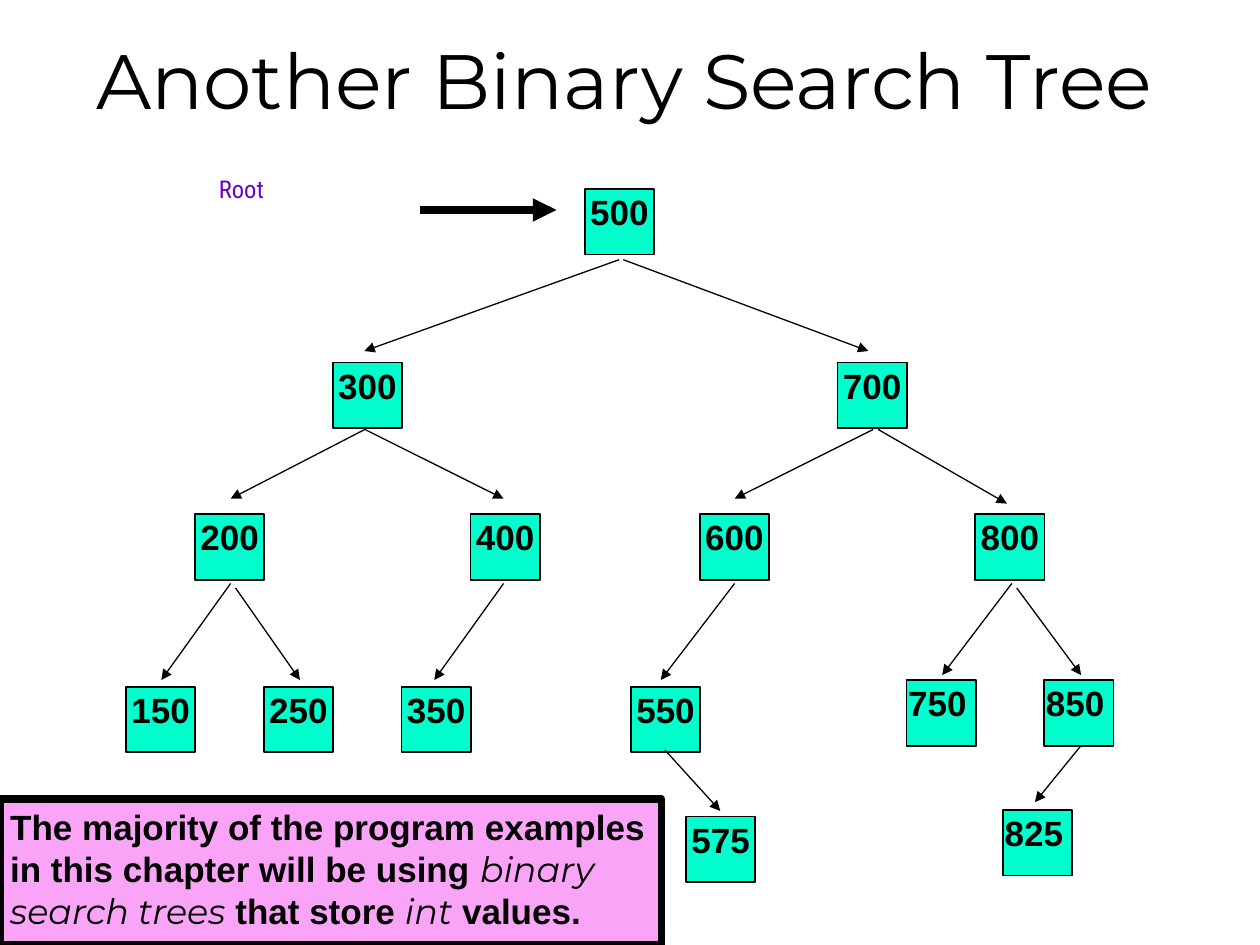
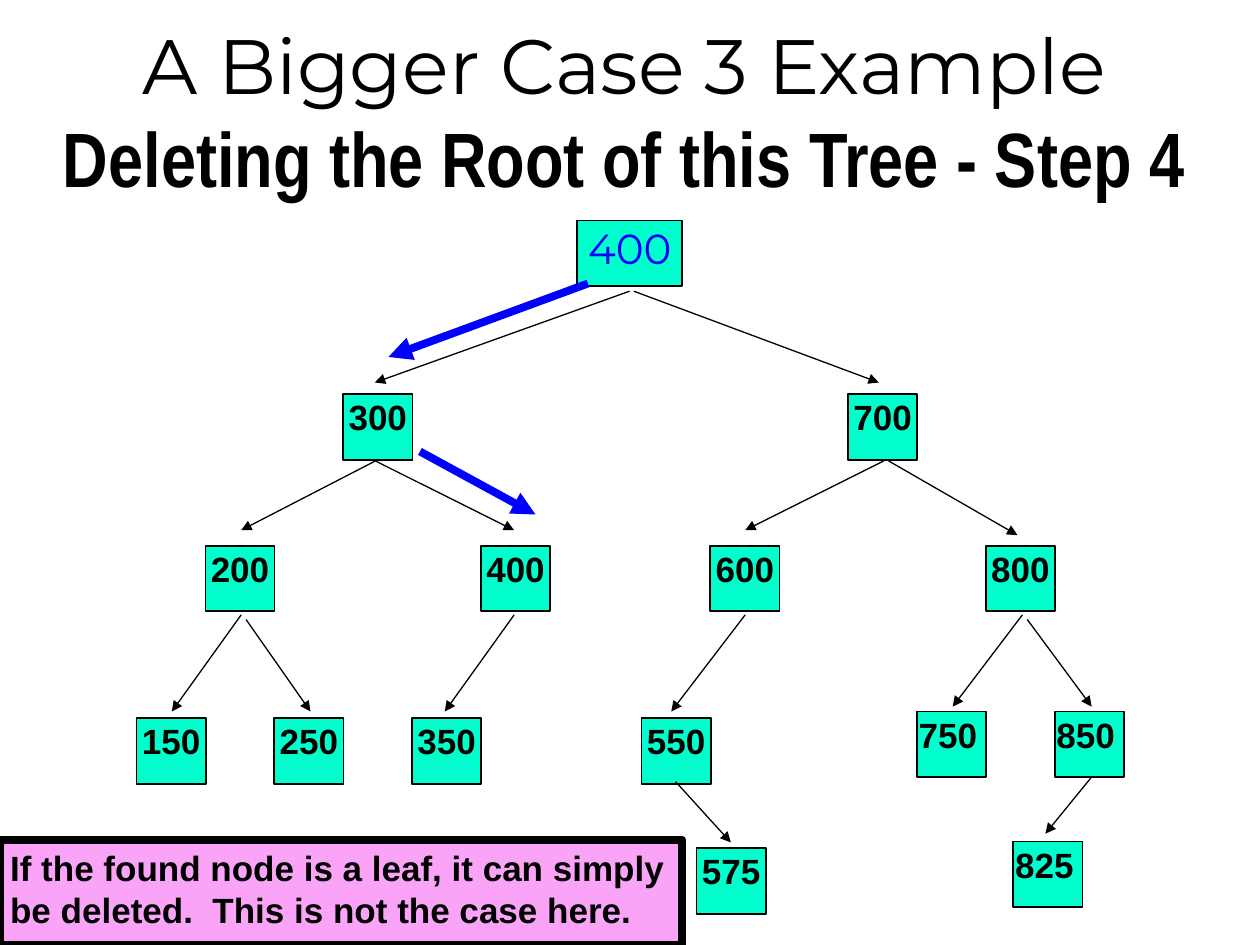
from lxml import etree
from pptx import Presentation
from pptx.dml.color import RGBColor
from pptx.enum.shapes import MSO_CONNECTOR, MSO_SHAPE
from pptx.enum.text import MSO_ANCHOR, PP_ALIGN
from pptx.oxml.ns import qn
from pptx.util import Pt

STRAIGHT = MSO_CONNECTOR.STRAIGHT
RECTANGLE = MSO_SHAPE.RECTANGLE
TOP, MIDDLE = MSO_ANCHOR.TOP, MSO_ANCHOR.MIDDLE
LEFT, CENTER = PP_ALIGN.LEFT, PP_ALIGN.CENTER

BLACK, BLUE, PURPLE = "000000", "0000FF", "6600CC"
NODE_FILL, NOTE_FILL = "00FFCC", "FAA4F8"

# Text styles: font, size, colour, bold, italic
TITLE = ("Montserrat", 44, BLACK, False, False)
SUBTITLE = ("Arial Narrow", 44, BLACK, True, False)
BODY = ("Arial", 20, BLACK, True, False)
TERM = ("Montserrat", 20, BLACK, False, True)
NEW_ROOT = ("Montserrat", 24, BLUE, False, False)
LABEL = ("Roboto Condensed", 14, PURPLE, False, False)

NODE_WIDTH, NODE_HEIGHT = 39.6, 37.5
FIRST_COLUMN, COLUMN_STEP = 72, 39.36
THICK, THIN = 4.5, 0.75

# Nodes below the root: value, column, top, alignment
ROOT_COLUMN, ROOT_TOP = 6.66, 108
NODES = [
    ("300", 3, 207.2, CENTER), ("700", 10.33, 207.2, CENTER),
    ("200", 1, 293.8, CENTER), ("400", 5, 293.8, CENTER),
    ("600", 8.33, 293.8, CENTER), ("800", 12.33, 293.8, CENTER),
    ("150", 0, 392.4, CENTER), ("250", 2, 392.4, CENTER),
    ("350", 4, 392.4, CENTER), ("550", 7.33, 392.4, CENTER),
    ("750", 11.33, 388.6, LEFT), ("850", 13.33, 388.6, LEFT),
    ("575", 8.13, 466.6, CENTER), ("825", 12.73, 462.8, LEFT),
]

# Branches: start x, start y, end x, end y
BRANCHES = [
    (353.8, 148.4, 208.2, 200.6), (356.2, 148.4, 496.2, 200.6),
    (208.5, 245.4, 131.8, 285), (208.5, 245.4, 287.8, 285),
    (499, 245.4, 419.8, 285), (501.8, 245.4, 575.4, 287.8),
    (131.8, 333.4, 92.2, 388.6), (134.6, 336, 171.4, 388.6),
    (287.8, 333.4, 248.2, 388.6), (419.8, 333.4, 377.6, 388.6),
    (578.2, 333.4, 538.4, 385.8), (581, 336, 617.8, 385.8),
    (380, 428.6, 411.6, 463.4), (617.8, 426, 591.4, 458.4),
]

SLIDES = [
    {
        "title": [("Another Binary Search Tree", TITLE)],
        "title_height": 90,
        "tree_shift": (0, 0),
        "root": ("500", BODY, NODE_WIDTH),
        "label": ("Root", (118, 96, 110, 48)),
        "pointers": [((240, 120, 318, 120), BLACK)],
        "note": [
            ("The majority of the program examples in this chapter will be using ", BODY),
            ("binary search trees", TERM),
            (" that store ", BODY),
            ("int", TERM),
            (" values.", BODY),
        ],
        "note_box": (0, 456.5, 378, 83.5),
    },
    {
        "title": [("A Bigger Case 3 Example", TITLE),
                  ("Deleting the Root of this Tree - Step 4", SUBTITLE)],
        "title_height": 126,
        "tree_shift": (6, 18),
        "root": ("400", NEW_ROOT, 60),
        "label": None,
        "pointers": [((336, 162, 222, 204), BLUE), ((240, 258, 306, 294), BLUE)],
        "note": [("If the found node is a leaf, it can simply be deleted.  "
                  "This is not the case here.", BODY)],
        "note_box": (0, 480, 390, 60),
    },
]


def rgb(color):
    return RGBColor.from_string(color)


def write(shape, pieces, insets, align=LEFT, anchor=TOP, one_per_line=False):
    """Fill the shape with one paragraph of (text, style) pieces."""
    frame = shape.text_frame
    frame.word_wrap = True
    frame.vertical_anchor = anchor
    (frame.margin_left, frame.margin_top,
     frame.margin_right, frame.margin_bottom) = map(Pt, insets)
    paragraph = frame.paragraphs[0]
    paragraph.alignment = align
    for index, (text, style) in enumerate(pieces):
        if one_per_line and index:
            paragraph.add_line_break()
        run = paragraph.add_run()
        run.text = text
        name, size, color, bold, italic = style
        run.font.name, run.font.size = name, Pt(size)
        run.font.bold, run.font.italic = bold, italic
        run.font.color.rgb = rgb(color)


def add_textbox(slide, box, *args, **kwargs):
    write(slide.shapes.add_textbox(*map(Pt, box)), *args, **kwargs)


def add_box(slide, box, fill, line_width, pieces, insets, align):
    shape = slide.shapes.add_shape(RECTANGLE, *map(Pt, box))
    shape.shadow.inherit = False
    shape.fill.solid()
    shape.fill.fore_color.rgb = rgb(fill)
    shape.line.color.rgb = rgb(BLACK)
    shape.line.width = Pt(line_width)
    write(shape, pieces, insets, align)


def add_arrow(slide, points, color, width):
    arrow = slide.shapes.add_connector(STRAIGHT, *map(Pt, points))
    arrow.line.color.rgb = rgb(color)
    arrow.line.width = Pt(width)
    etree.SubElement(arrow.line._get_or_add_ln(), qn("a:tailEnd"), type="triangle")
    etree.SubElement(arrow._element.spPr, qn("a:effectLst"))


def add_node(slide, value, column, top, align, shift, style=BODY, width=NODE_WIDTH):
    """Draw a node centred on its column."""
    center = FIRST_COLUMN + column * COLUMN_STEP + NODE_WIDTH / 2
    box = (center - width / 2 + shift[0], top + shift[1], width, NODE_HEIGHT)
    add_box(slide, box, NODE_FILL, 1, [(value, style)], (1, 1, 1, 1), align)


def add_tree(slide, root, shift):
    value, style, width = root
    add_node(slide, value, ROOT_COLUMN, ROOT_TOP, CENTER, shift, style, width)
    for node in NODES:
        add_node(slide, *node, shift)
    dx, dy = shift
    for x1, y1, x2, y2 in BRANCHES:
        add_arrow(slide, (x1 + dx, y1 + dy, x2 + dx, y2 + dy), BLACK, THIN)


def build_slide(slide, content):
    add_textbox(slide, (0, 0, 714, content["title_height"]), content["title"],
                (7.2, 3.6, 7.2, 3.6), CENTER, MIDDLE, one_per_line=True)
    if content["label"]:
        text, box = content["label"]
        add_textbox(slide, box, [(text, LABEL)], (7.2, 3.6, 7.2, 3.6))
    add_tree(slide, content["root"], content["tree_shift"])
    for points, color in content["pointers"]:
        add_arrow(slide, points, color, THICK)
    add_box(slide, content["note_box"], NOTE_FILL, THICK, content["note"],
            (5.8, 3.6, 4.3, 3.6), LEFT)


def main():
    deck = Presentation()
    deck.slide_width, deck.slide_height = Pt(720), Pt(540)
    blank = deck.slide_layouts[6]
    for content in SLIDES:
        build_slide(deck.slides.add_slide(blank), content)
    deck.save("out.pptx")


if __name__ == "__main__":
    main()
